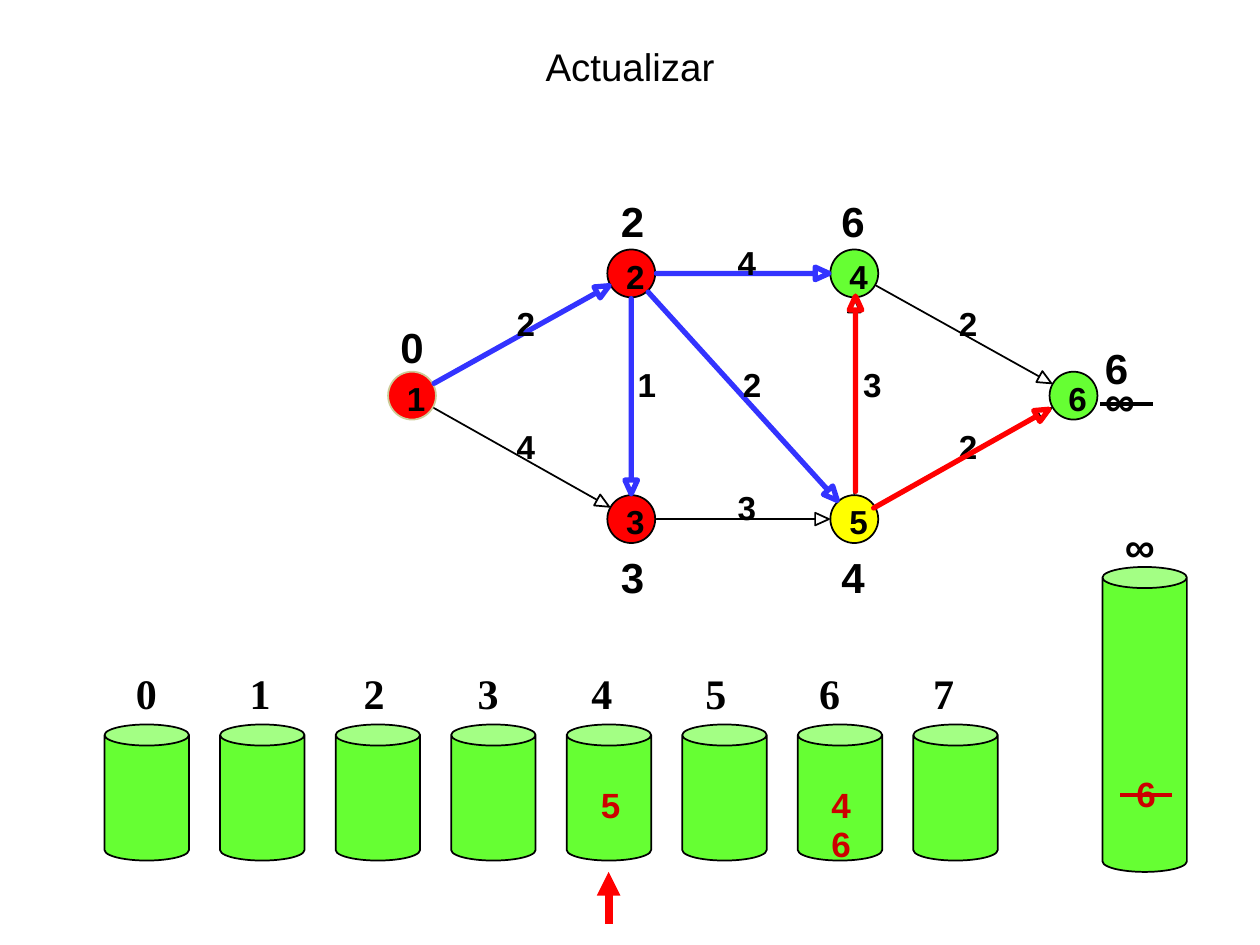
from math import hypot

from lxml import etree
from pptx import Presentation
from pptx.dml.color import RGBColor
from pptx.enum.shapes import MSO_CONNECTOR, MSO_SHAPE
from pptx.enum.text import MSO_ANCHOR, PP_ALIGN
from pptx.oxml.ns import qn
from pptx.util import Inches, Pt

CAN, OVAL = MSO_SHAPE.CAN, MSO_SHAPE.OVAL
LINE = MSO_CONNECTOR.STRAIGHT
LEFT, CENTER = PP_ALIGN.LEFT, PP_ALIGN.CENTER
TOP, BOTTOM = MSO_ANCHOR.TOP, MSO_ANCHOR.BOTTOM

COLORS = {
    "black": "000000", "red": "FF0000", "dark": "CC0000", "green": "66FF33",
    "yellow": "FFFF00", "blue": "3333FF", "tan": "CCCC99",
}
SIZE = 0.38  # node diameter
GAP = 0.2  # from a node's centre to the end of an edge

# name: centre x, centre y, fill, outline
NODES = {
    "1": (3.27, 3.14, "red", "tan"),
    "2": (5.01, 2.17, "red", "black"),
    "3": (5.01, 4.12, "red", "black"),
    "4": (6.78, 2.17, "green", "black"),
    "5": (6.78, 4.12, "yellow", "black"),
    "6": (8.52, 3.14, "green", "black"),
}

# start, end, weight, colour, line width, label shift from the middle
EDGES = [
    ("1", "2", "2", "blue", 3, -0.04),
    ("2", "4", "4", "blue", 3, -0.04),
    ("2", "5", "2", "blue", 3, 0),
    ("2", "3", "1", "blue", 3, 0.05),
    ("3", "5", "3", "black", 1, -0.04),
    ("1", "3", "4", "black", 1, -0.04),
    ("4", "6", "2", "black", 1, -0.04),
    ("5", "4", "3", "black", 1, 0.07),
    ("5", "6", "2", "black", 1, -0.04),
]

# text, left, top
COSTS = [
    ("0", 3.08, 2.5), ("2", 4.83, 1.5), ("3", 4.83, 4.33), ("6", 6.58, 1.5),
    ("4", 6.58, 4.33), ("∞", 8.67, 2.92), ("6", 8.67, 2.67), ("∞", 8.83, 4.08),
]
ITEMS = [("6", 8.92, 6.08), ("4", 6.5, 6.17), ("5", 4.67, 6.17), ("6", 6.5, 6.48)]


def rgb(name):
    return RGBColor.from_string(COLORS[name])


class Board:
    """Holds the slide and draws each kind of element on it."""

    font = "Arial"

    def __init__(self, slide):
        self.shapes = slide.shapes

    def stroke(self, item, color, width):
        item.line.color.rgb = rgb(color)
        item.line.width = Pt(width)

    def shape(self, kind, x, y, w, h, fill, edge="black"):
        item = self.shapes.add_shape(kind, Inches(x), Inches(y), Inches(w), Inches(h))
        item.shadow.inherit = False
        item.fill.solid()
        item.fill.fore_color.rgb = rgb(fill)
        self.stroke(item, edge, 1)

    def text(self, words, x, y, w, h, size, color="black", font=None,
             bold=True, align=LEFT, anchor=TOP, tight=False):
        """Add a text box; a tight one has no margins and does not wrap."""
        box = self.shapes.add_textbox(Inches(x), Inches(y), Inches(w), Inches(h))
        frame = box.text_frame
        frame.word_wrap = not tight
        frame.vertical_anchor = anchor
        if tight:
            frame.margin_left = frame.margin_right = 0
            frame.margin_top = frame.margin_bottom = 0
        para = frame.paragraphs[0]
        para.text = words
        para.alignment = align
        para.font.name = font or self.font
        para.font.size = Pt(size)
        para.font.bold = bold
        para.font.color.rgb = rgb(color)

    def digit(self, words, x, y):
        self.text(words, x, y, 0.15, 0.32, 19, tight=True)

    def node(self, name):
        x, y, fill, edge = NODES[name]
        self.shape(OVAL, x - SIZE / 2, y - SIZE / 2, SIZE, SIZE, fill, edge)
        self.digit(name, x - 0.04, y - 0.14)

    def arrow(self, start, end, color, width, dx=0, dy=0):
        """Outline an open-headed arrow between two nodes, moved by dx, dy."""
        ax, ay = NODES[start][:2]
        bx, by = NODES[end][:2]
        far = hypot(bx - ax, by - ay)
        ux, uy = (bx - ax) / far, (by - ay) / far

        def at(along, side=0):
            return (Inches(ax + dx + along * ux - side * uy),
                    Inches(ay + dy + along * uy + side * ux))

        tip = far - GAP
        neck = tip - 0.11
        form = self.shapes.build_freeform(*at(GAP))
        form.add_line_segments(
            [at(neck), at(neck, 0.05), at(tip), at(neck, -0.05), at(neck)])
        item = form.convert_to_shape()
        item.shadow.inherit = False
        item.fill.background()
        self.stroke(item, color, width)

    def line(self, x1, y1, x2, y2, color, width, head=False):
        item = self.shapes.add_connector(
            LINE, Inches(x1), Inches(y1), Inches(x2), Inches(y2))
        self.stroke(item, color, width)
        if head:
            etree.SubElement(item.line._get_or_add_ln(), qn("a:tailEnd"), type="triangle")
        etree.SubElement(item._element.spPr, qn("a:effectLst"))


def main():
    deck = Presentation()
    deck.slide_width, deck.slide_height = Inches(10), Inches(7.5)
    board = Board(deck.slides.add_slide(deck.slide_layouts[6]))

    board.text("Actualizar", 0.75, 0.17, 8.5, 0.59, 22,
               bold=False, align=CENTER, anchor=BOTTOM)

    for name in NODES:
        board.node(name)
    for start, end, weight, color, width, shift in EDGES:
        board.arrow(start, end, color, width)
        (ax, ay), (bx, by) = NODES[start][:2], NODES[end][:2]
        board.digit(weight, (ax + bx) / 2 + shift, (ay + by) / 2 - 0.25)
    board.arrow("5", "4", "red", 3, 0.01, -0.02)
    board.arrow("5", "6", "red", 3, -0.02, 0.01)

    for i in range(8):
        board.shape(CAN, 0.83 + i * 0.917, 5.75, 0.67, 1.08, "green")
        board.text(str(i), 0.98 + i * 0.904, 5.25, 0.5, 0.5, 24, font="Times New Roman")
    board.shape(CAN, 8.75, 4.5, 0.67, 2.42, "green")

    for words, x, y in COSTS:
        board.text(words, x, y, 0.5, 0.5, 24)
    for words, x, y in ITEMS:
        board.text(words, x, y, 0.33, 0.44, 20, "dark")

    board.line(9.15, 3.21, 8.73, 3.21, "black", 2.25)
    board.line(9.3, 6.31, 8.89, 6.31, "dark", 2.25)
    board.line(4.83, 7.33, 4.83, 6.92, "red", 4.5, head=True)

    deck.save("out.pptx")


if __name__ == "__main__":
    main()
